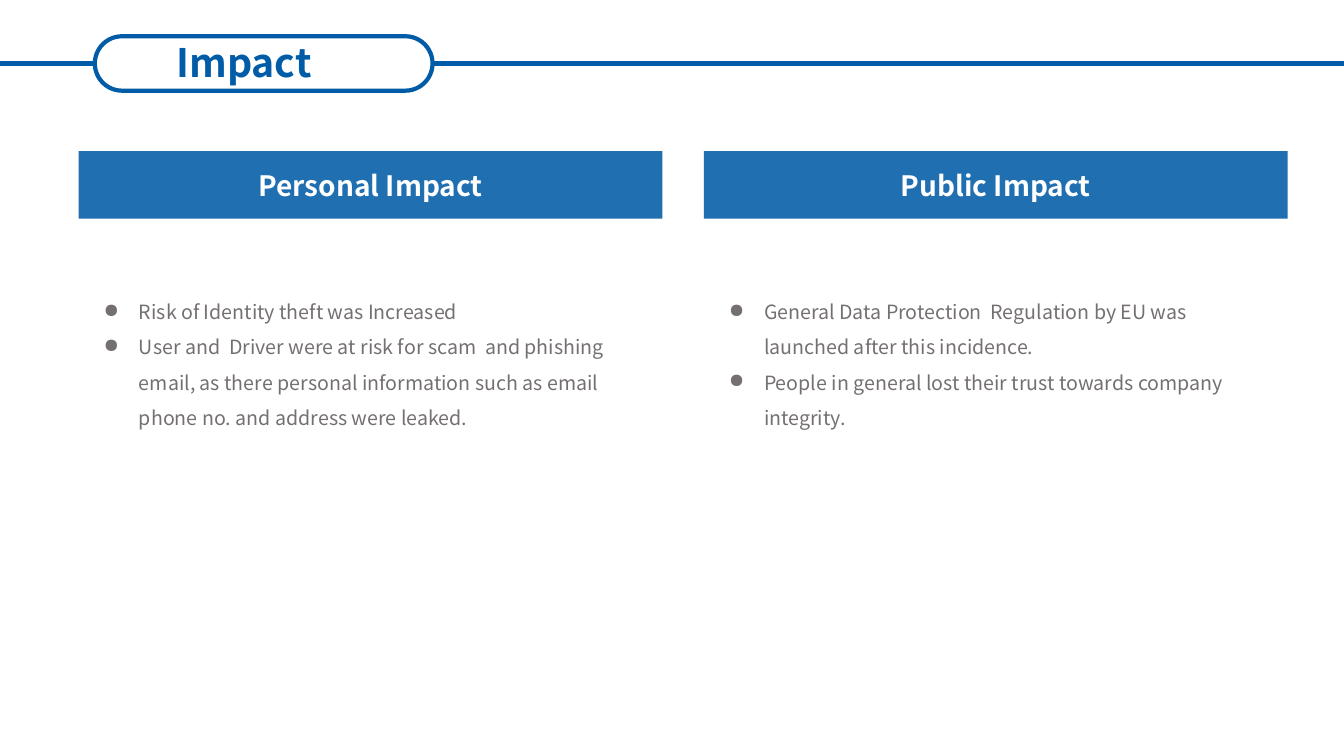
from lxml import etree
from pptx import Presentation, util as u
from pptx.dml.color import RGBColor
from pptx.enum import shapes, text
from pptx.oxml.ns import qn

COLORS = {"blue": "005CA7", "gray": "757070", "white": "FFFFFF"}
FONT = "Noto Sans CJK SC"
WIDTH, HEIGHT = 13.33, 7.5
MARGIN, COLUMN_STEP, COLUMN_WIDTH = 0.78, 6.2, 5.79

COLUMNS = [
    ("Personal Impact", [
        "Risk of Identity theft was Increased",
        "User and  Driver were at risk for scam  and phishing email, as there "
        "personal information such as email phone no. and address were leaked.",
    ]),
    ("Public Impact", [
        "General Data Protection  Regulation by EU was launched after this incidence.",
        "People in general lost their trust towards company integrity.",
    ]),
]


def color(name):
    return RGBColor.from_string(COLORS[name])


def inches(*lengths):
    return [u.Inches(length) for length in lengths]


def style(paragraph, size, color_name, bold=False):
    font = paragraph.font
    font.name, font.size, font.bold = FONT, u.Pt(size), bold
    font.color.rgb = color(color_name)


def write_centered(shape, wording, size, color_name):
    paragraph = shape.text_frame.paragraphs[0]
    paragraph.text = wording
    paragraph.alignment = text.PP_ALIGN.CENTER
    style(paragraph, size, color_name, bold=True)


def add_bullet(paragraph):
    """Give the paragraph a hanging gray dot."""
    properties = paragraph._p.get_or_add_pPr()
    properties.set("marL", str(u.Inches(0.5)))
    properties.set("indent", str(u.Inches(-0.35)))
    bullet_color = etree.SubElement(properties, qn("a:buClr"))
    etree.SubElement(bullet_color, qn("a:srgbClr"), val=COLORS["gray"])
    etree.SubElement(properties, qn("a:buChar"), char="●")


def add_rule(slide, start, end, y):
    rule = slide.shapes.add_connector(
        shapes.MSO_CONNECTOR.STRAIGHT, *inches(start, y, end, y))
    rule.line.color.rgb = color("blue")
    rule.line.width = u.Pt(3)
    etree.SubElement(rule._element.spPr, qn("a:effectLst"))


def add_title(slide, wording, left, top, width, height):
    """Draw the title in a pill, with a rule from each end to the slide edge."""
    middle = top + height / 2
    add_rule(slide, left + width, WIDTH, middle)
    add_rule(slide, 0, left, middle)

    pill = slide.shapes.add_shape(
        shapes.MSO_SHAPE.ROUNDED_RECTANGLE, *inches(left, top, width, height))
    pill.adjustments[0] = 0.5
    pill.shadow.inherit = False
    pill.fill.background()
    pill.line.color.rgb = color("blue")
    pill.line.width = u.Pt(3)

    label = slide.shapes.add_textbox(
        *inches(left - 0.21, top - 0.03, width + 0.03, height + 0.03))
    label.text_frame.word_wrap = True
    write_centered(label, wording, 28, "blue")


def add_column(slide, heading, points, left, top, width):
    banner = slide.shapes.add_shape(
        shapes.MSO_SHAPE.RECTANGLE, *inches(left, top, width, 0.67))
    banner.shadow.inherit = False
    banner.fill.solid()
    banner.fill.fore_color.rgb = color("blue")
    fill_color = banner._element.spPr.find(qn("a:solidFill"))[0]
    etree.SubElement(fill_color, qn("a:alpha"), val="88000")
    banner.line.fill.background()
    banner.text_frame.vertical_anchor = text.MSO_ANCHOR.MIDDLE
    write_centered(banner, heading, 20, "white")

    body = slide.shapes.add_textbox(*inches(left, top + 1.31, width - 0.3, 0.69))
    frame = body.text_frame
    frame.word_wrap = True
    frame.text = "\n".join(points)
    for paragraph in frame.paragraphs:
        paragraph.line_spacing = 1.5
        add_bullet(paragraph)
        style(paragraph, 14, "gray")


def add_impact_slide(presentation):
    slide = presentation.slides.add_slide(presentation.slide_layouts[6])
    for index, (heading, points) in enumerate(COLUMNS):
        left = MARGIN + index * COLUMN_STEP
        add_column(slide, heading, points, left, HEIGHT / 5, COLUMN_WIDTH)
    add_title(slide, "Impact", 0.94, 0.36, 3.35, 0.54)


def main():
    presentation = Presentation()
    presentation.slide_width, presentation.slide_height = inches(WIDTH, HEIGHT)
    add_impact_slide(presentation)
    presentation.save("out.pptx")


if __name__ == "__main__":
    main()
